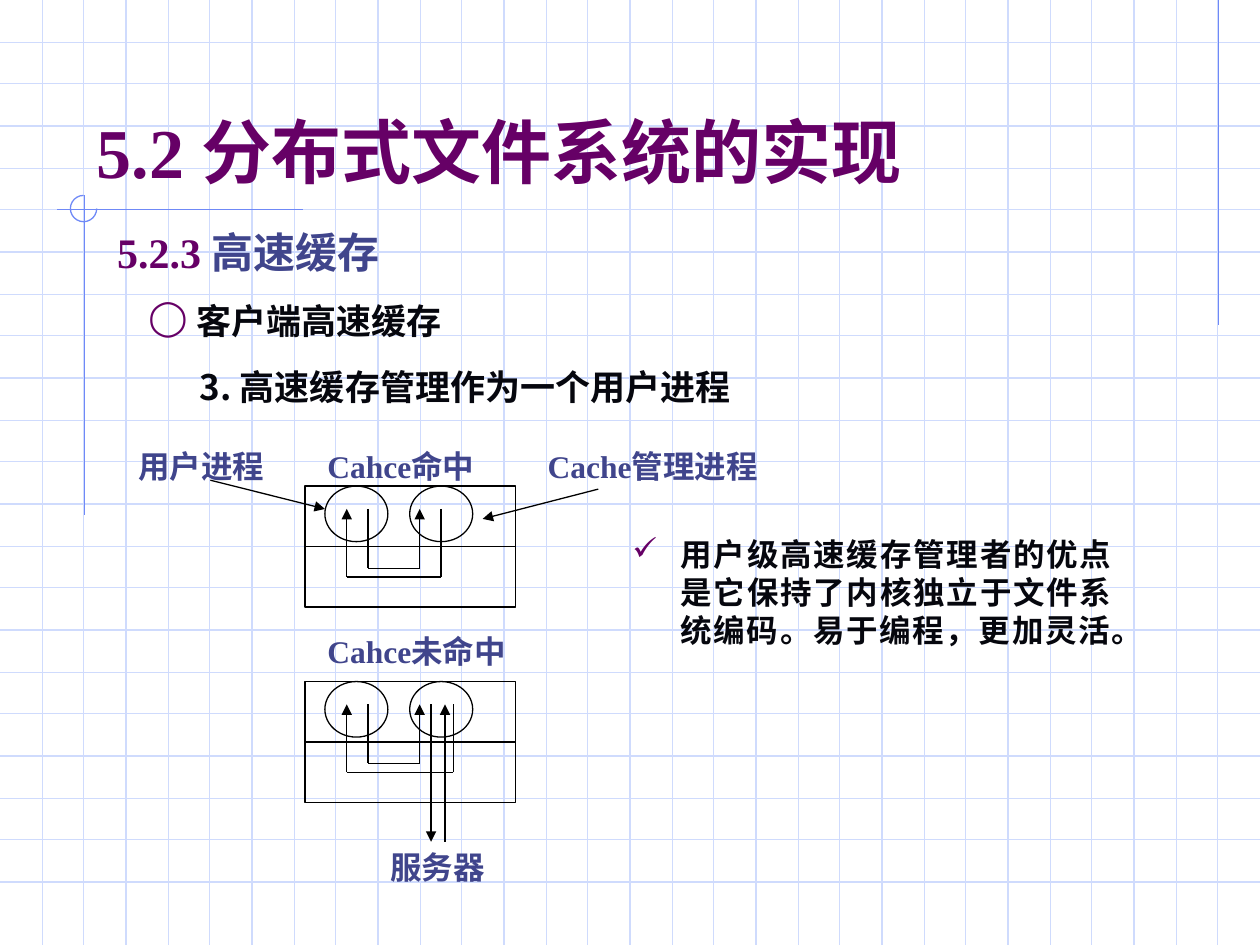
from lxml import etree
from pptx import Presentation
from pptx.dml.color import RGBColor
from pptx.enum.shapes import MSO_CONNECTOR, MSO_SHAPE
from pptx.enum.text import MSO_ANCHOR, PP_ALIGN
from pptx.oxml.ns import qn
from pptx.util import Cm, Pt

STRAIGHT = MSO_CONNECTOR.STRAIGHT
RECT, OVAL, ARC = MSO_SHAPE.RECTANGLE, MSO_SHAPE.OVAL, MSO_SHAPE.ARC
LEFT, JUST = PP_ALIGN.LEFT, PP_ALIGN.JUSTIFY

COLORS = {"grid": "CFDBFD", "trim": "6F89F7", "plum": "660066",
          "blue": "40458C", "ink": "06070E", "black": "000000"}
TIMES, MONT, NOTO = "Times New Roman", "Montserrat", "Noto Sans CJK SC"

# All places are in inches.
WIDE, HIGH, STEP = 10, 7.5, 1 / 3
TITLE = [("5.2 ", TIMES, "plum"), ("分布式文件系统的实现", NOTO, "plum")]

# box, size, align, bullet, runs
BODY = [
    ((0.83, 1.75, 8.75, 0.5), 24, JUST, None,
     [("5.2.3 ", TIMES, "plum"), ("高速缓存", MONT, "blue")]),
    ((1.08, 2.33, 8.25, 0.44), 20, JUST, "◯",
     [("客户端高速缓存", TIMES, "ink")]),
    ((1.49, 2.85, 7.76, 0.47), 20, JUST, None,
     [("3. 高速缓存管理作为一个用户进程", NOTO, "ink")]),
    ((4.92, 4.2, 4, 1.3), 18, JUST, "✓",
     [("用户级高速缓存管理者的优点是它保持了内核独立于文件系统编码。"
       "易于编程，更加灵活。", MONT, "ink")]),
]

# left, top, width, text, font
LABELS = [
    (1, 3.5, 1.33, "用户进程", TIMES),
    (2.5, 3.5, 1.83, "Cahce命中", TIMES),
    (4.25, 3.5, 2.08, "Cache管理进程", TIMES),
    (2.5, 4.97, 1.83, "Cahce未命中", TIMES),
    (3, 6.68, 1.25, "服务器", MONT),
]

TRIM = [((9.67, 0), (9.67, 2.58)), ((2.4, 1.66), (0.45, 1.66)),
        ((0.67, 1.55), (0.67, 4.09))]
POINTERS = [((4.75, 3.88), (3.83, 4.12)), ((1.67, 3.81), (2.58, 4.04))]

# Routes run from the top of each panel; the last leg has the arrowhead.
SHORT = [(2.92, 0.18), (2.92, 0.65), (3.33, 0.65), (3.33, 0.18)]
PANELS = [
    (3.86, [SHORT, [(3.5, 0.18), (3.5, 0.72), (2.75, 0.72), (2.75, 0.18)]]),
    (5.41, [SHORT, [(3.6, 0.18), (3.6, 0.72), (2.75, 0.72), (2.75, 0.18)],
            [(3.42, 0.18), (3.42, 1.27)], [(3.53, 1.27), (3.53, 0.18)]]),
]


def inch(*vals):
    return [Cm(round(v * 2.54, 2)) for v in vals]


def rgb(name):
    return RGBColor.from_string(COLORS[name])


def draw_line(shapes, start, end, color="black", arrow=False):
    line = shapes.add_connector(STRAIGHT, *inch(*start, *end))
    line.line.color.rgb = rgb(color)
    line.line.width = Pt(0.75)
    etree.SubElement(line._element.spPr, qn("a:effectLst"))
    if arrow:
        etree.SubElement(line.line._get_or_add_ln(), qn("a:tailEnd"),
                         type="triangle")


def draw_shape(shapes, kind, box, color="black"):
    shape = shapes.add_shape(kind, *inch(*box))
    shape.shadow.inherit = False
    shape.fill.background()
    shape.line.color.rgb = rgb(color)
    shape.line.width = Pt(0.75)
    return shape


def add_bullet(para, mark):
    props = para._p.get_or_add_pPr()
    props.set("marL", str(Cm(0.97)))
    props.set("indent", str(-Cm(0.97)))
    color = etree.SubElement(props, qn("a:buClr"))
    etree.SubElement(color, qn("a:srgbClr"), val=COLORS["plum"])
    etree.SubElement(props, qn("a:buChar"), char=mark)


def write(frame, runs, size, align=LEFT, bullet=None):
    frame.word_wrap = True
    para = frame.paragraphs[0]
    para.alignment = align
    if bullet:
        add_bullet(para, bullet)
    para.font.size = Pt(size)
    para.font.bold = True
    for text, face, color in runs:
        run = para.add_run()
        run.text = text
        run.font.size = Pt(size)
        run.font.bold = True
        run.font.color.rgb = rgb(color)
        run.font.name = face
        east = etree.SubElement(run._r.get_or_add_rPr(), qn("a:ea"))
        east.set("typeface", MONT)


def add_text(shapes, box, runs, size, align=LEFT, bullet=None):
    frame = shapes.add_textbox(*inch(*box)).text_frame
    write(frame, runs, size, align, bullet)


def draw_back(shapes):
    for i in range(1, round(HIGH / STEP)):
        draw_line(shapes, (0, i * STEP), (WIDE, i * STEP), "grid")
    for i in range(1, round(WIDE / STEP)):
        draw_line(shapes, (i * STEP, 0), (i * STEP, HIGH), "grid")
    for start, end in TRIM:
        draw_line(shapes, start, end, "trim")
    arc = draw_shape(shapes, ARC, (0.56, 1.55, 0.21, 0.21), "trim")
    arc.adjustments[0] = 0
    arc.adjustments[1] = 162  # 270 degrees, in units of 100000 / 60000


def draw_panel(shapes, top, routes):
    for row in range(2):
        draw_shape(shapes, RECT, (2.42, top + row * 0.48, 1.67, 0.48))
    for left in (2.58, 3.25):
        draw_shape(shapes, OVAL, (left, top, 0.5, 0.44))
    for route in routes:
        points = [(x, top + y) for x, y in route]
        for i, (start, end) in enumerate(zip(points, points[1:])):
            draw_line(shapes, start, end, arrow=i == len(points) - 2)


def main():
    deck = Presentation()
    deck.slide_width, deck.slide_height = inch(WIDE, HIGH)
    slide = deck.slides.add_slide(deck.slide_layouts[5])
    shapes = slide.shapes
    draw_back(shapes)

    title = shapes.title
    shapes._spTree.append(title._element)  # bring in front of the grid
    title.left, title.top, title.width, title.height = inch(
        0.67, 0.33, 8.5, 1.25)
    title.text_frame.vertical_anchor = MSO_ANCHOR.BOTTOM
    write(title.text_frame, TITLE, 40)

    for box, size, align, bullet, runs in BODY:
        add_text(shapes, box, runs, size, align, bullet)
    for top, routes in PANELS:
        draw_panel(shapes, top, routes)
    for left, top, width, text, face in LABELS:
        add_text(shapes, (left, top, width, 0.4), [(text, face, "blue")], 18)
    for start, end in POINTERS:
        draw_line(shapes, start, end, arrow=True)
    deck.save("out.pptx")


if __name__ == "__main__":
    main()
